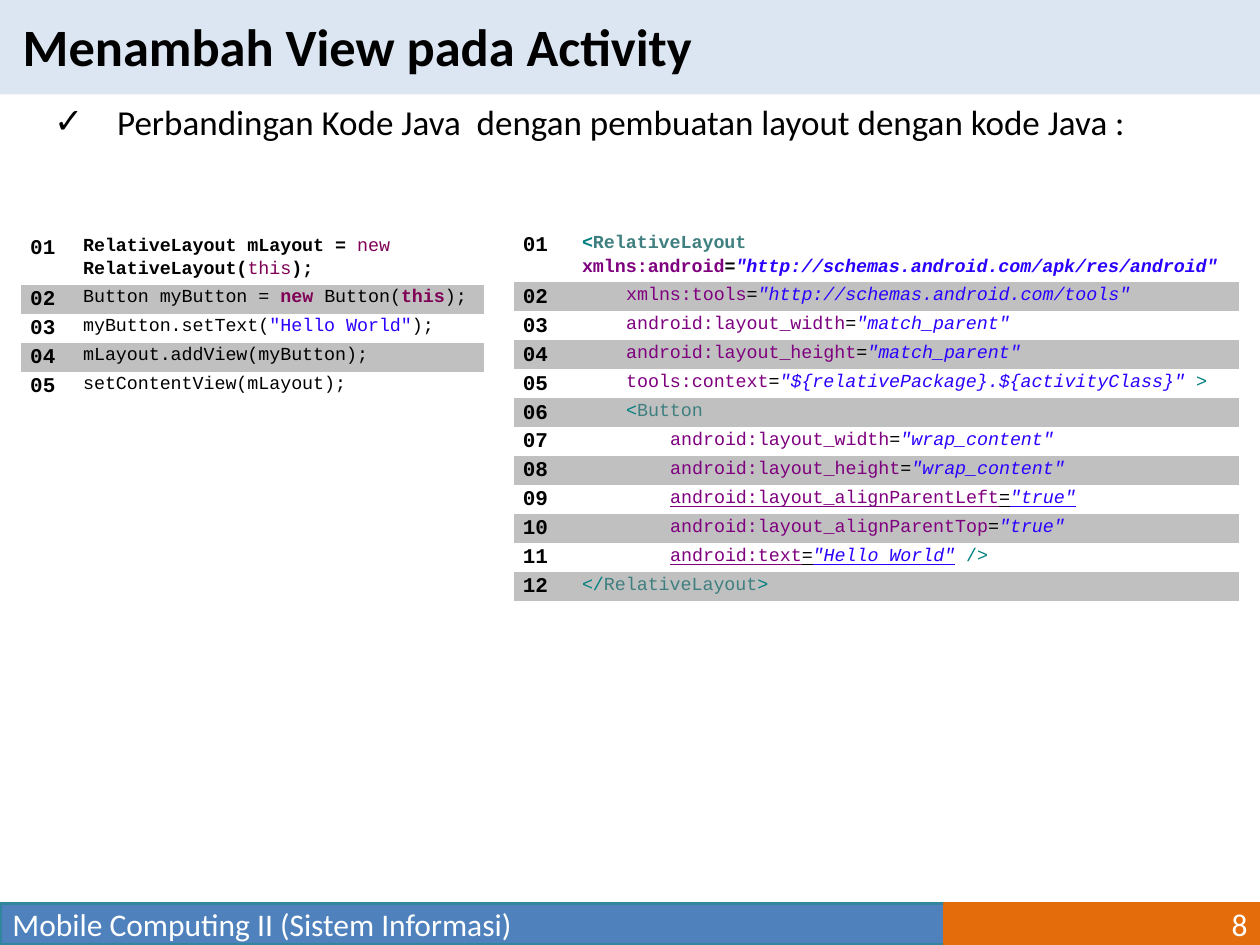
from pptx import Presentation
from pptx.dml.color import RGBColor
from pptx.enum.shapes import MSO_SHAPE
from pptx.enum.text import MSO_ANCHOR, MSO_AUTO_SIZE, PP_ALIGN
from pptx.util import Inches, Pt
from lxml import etree

RECT = MSO_SHAPE.RECTANGLE
TOP, MIDDLE = MSO_ANCHOR.TOP, MSO_ANCHOR.MIDDLE
LEFT, RIGHT = PP_ALIGN.LEFT, PP_ALIGN.RIGHT
FIXED = MSO_AUTO_SIZE.NONE
BLACK = RGBColor(0, 0, 0)
WHITE = RGBColor(255, 255, 255)
PALE = RGBColor(0xDC, 0xE6, 0xF2)
BLUE = RGBColor(0x4F, 0x81, 0xBD)
AQUA = RGBColor(0x31, 0x85, 0x9C)
ORANGE = RGBColor(0xE4, 0x6C, 0x0A)
GREY = RGBColor(0xC0, 0xC0, 0xC0)
MARK = RGBColor(0, 0x80, 0x80)
TAG = RGBColor(0x3F, 0x7F, 0x7F)
NAME = RGBColor(0x7F, 0, 0x7F)
VALUE = RGBColor(0x2A, 0, 0xFF)
WORD = RGBColor(0x7F, 0, 0x55)
SANS, MONO = "Calibri", "Courier New"
NO_GRID = "{2D5ABB26-0587-4C30-8999-92F81FD0307C}"
A = "{http://schemas.openxmlformats.org/drawingml/2006/main}"
WIDE, HIGH = 10, 7.5
BAR = 0.33
ROW, FIRST = 0.23, 0.41
STEP = 4 * 0.6 * 10.5 / 72  # four monospaced letters, in inches

# Content: a code line is (indent level, tokens); a token is (text, colour, styles)
TITLE = "Menambah View pada Activity"
POINT = "Perbandingan Kode Java  dengan pembuatan layout dengan kode Java :"
FOOTER, PAGE = "Mobile Computing II (Sistem Informasi)", "8"


def attr(name, value, style=""):
    return [(name, NAME, style), ("=", BLACK, style),
            (f'"{value}"', VALUE, style + "i")]


JAVA = [
    (0, [("RelativeLayout mLayout = ", BLACK, "b"), ("new ", WORD, ""),
         ("RelativeLayout(", BLACK, "b"), ("this", WORD, ""),
         (");", BLACK, "b")]),
    (0, [("Button myButton = ", BLACK, ""), ("new", WORD, "b"),
         (" Button(", BLACK, ""), ("this", WORD, "b"), (");", BLACK, "")]),
    (0, [("myButton.setText(", BLACK, ""), ('"Hello World"', VALUE, ""),
         (");", BLACK, "")]),
    (0, [("mLayout.addView(myButton);", BLACK, "")]),
    (0, [("setContentView(mLayout);", BLACK, "")]),
]
XML = [
    (0, [("<", MARK, "b"), ("RelativeLayout ", TAG, "b")]
     + attr("xmlns:android", "http://schemas.android.com/apk/res/android", "b")),
    (1, attr("xmlns:tools", "http://schemas.android.com/tools")),
    (1, attr("android:layout_width", "match_parent")),
    (1, attr("android:layout_height", "match_parent")),
    (1, attr("tools:context", "${relativePackage}.${activityClass}")
     + [(" >", MARK, "")]),
    (1, [("<", MARK, ""), ("Button", TAG, "")]),
    (2, attr("android:layout_width", "wrap_content")),
    (2, attr("android:layout_height", "wrap_content")),
    (2, attr("android:layout_alignParentLeft", "true", "u")),
    (2, attr("android:layout_alignParentTop", "true")),
    (2, attr("android:text", "Hello World", "u") + [(" />", MARK, "")]),
    (0, [("</", MARK, ""), ("RelativeLayout", TAG, ""), (">", MARK, "")]),
]
# left, top, column widths, lines
TABLES = [(4.08, 1.83, (0.47, 5.28), XML), (0.17, 1.85, (0.42, 3.25), JAVA)]


def add_run(par, text, size, font, color, style=""):
    run = par.add_run()
    run.text = text
    face = run.font
    face.size, face.name = Pt(size), font
    face.color.rgb = color
    face.bold, face.italic = "b" in style, "i" in style
    face.underline = "u" in style


def place(shape, *box):
    shape.left, shape.top, shape.width, shape.height = map(Inches, box)


def add_bar(x, y, w, h, fill, line=None):
    bar = slide.shapes.add_shape(RECT, *map(Inches, (x, y, w, h)))
    bar.shadow.inherit = False
    bar.fill.solid()
    bar.fill.fore_color.rgb = fill
    if line is None:
        bar.line.fill.background()
    else:
        bar.line.color.rgb = line
        bar.line.width = Pt(2)
    return bar


def fill_cell(cell, tokens, size, level, shaded):
    cell.margin_left = cell.margin_right = Inches(0.07)
    cell.margin_top = cell.margin_bottom = 0
    if shaded:
        cell.fill.solid()
        cell.fill.fore_color.rgb = GREY
    else:
        cell.fill.background()
    par = cell.text_frame.paragraphs[0]
    par.line_spacing = 1.15
    if level:
        par._p.get_or_add_pPr().set("marL", str(Inches(level * STEP)))
    for text, color, style in tokens:
        add_run(par, text, size, MONO, color, style)


deck = Presentation()
deck.slide_width, deck.slide_height = Inches(WIDE), Inches(HIGH)
slide = deck.slides.add_slide(deck.slide_layouts[1])

# Title over its band
title, body = slide.placeholders
band = add_bar(0, 0, WIDE, HIGH / 10, PALE)
title._element.addprevious(band._element)
place(title, 0.08, 0.06, 5.57, 0.61)
frame = title.text_frame
frame.word_wrap, frame.auto_size = False, FIXED
frame.vertical_anchor = TOP
par = frame.paragraphs[0]
par.alignment = LEFT
add_run(par, TITLE, 30, SANS, BLACK, "b")

# Checked point
place(body, 0.33, 0.75, 9, 0.94)
frame = body.text_frame
frame.word_wrap, frame.auto_size = True, FIXED
par = frame.paragraphs[0]
par.space_before, par.space_after = Pt(0), Pt(12)
props = par._p.get_or_add_pPr()
props.set("marL", str(Inches(0.5)))
props.set("indent", str(Inches(-0.5)))
etree.SubElement(props, A + "buChar").set("char", "✓")
add_run(par, POINT, 20, SANS, BLACK)

# Footer bars
split = WIDE * 0.75
for x, w, fill, line, text, align in (
        (0, split, BLUE, AQUA, FOOTER, LEFT),
        (split, WIDE - split, ORANGE, ORANGE, PAGE, RIGHT)):
    bar = add_bar(x, HIGH - BAR, w, BAR, fill, line)
    bar.text_frame.vertical_anchor = MIDDLE
    par = bar.text_frame.paragraphs[0]
    par.alignment = align
    add_run(par, text, 18, SANS, WHITE)

# Code tables
for x, y, widths, lines in TABLES:
    high = FIRST + ROW * (len(lines) - 1)
    box = map(Inches, (x, y, sum(widths), high))
    table = slide.shapes.add_table(len(lines), 2, *box).table
    table.first_row = table.horz_banding = False
    table._tbl.tblPr.find(A + "tableStyleId").text = NO_GRID
    for col, width in zip(table.columns, widths):
        col.width = Inches(width)
    for i, (level, tokens) in enumerate(lines):
        table.rows[i].height = Inches(ROW if i else FIRST)
        shaded = i % 2 == 1
        number = [(f"{i + 1:02}", BLACK, "b")]
        fill_cell(table.cell(i, 0), number, 12, 0, shaded)
        fill_cell(table.cell(i, 1), tokens, 10.5, level, shaded)

deck.save("out.pptx")
